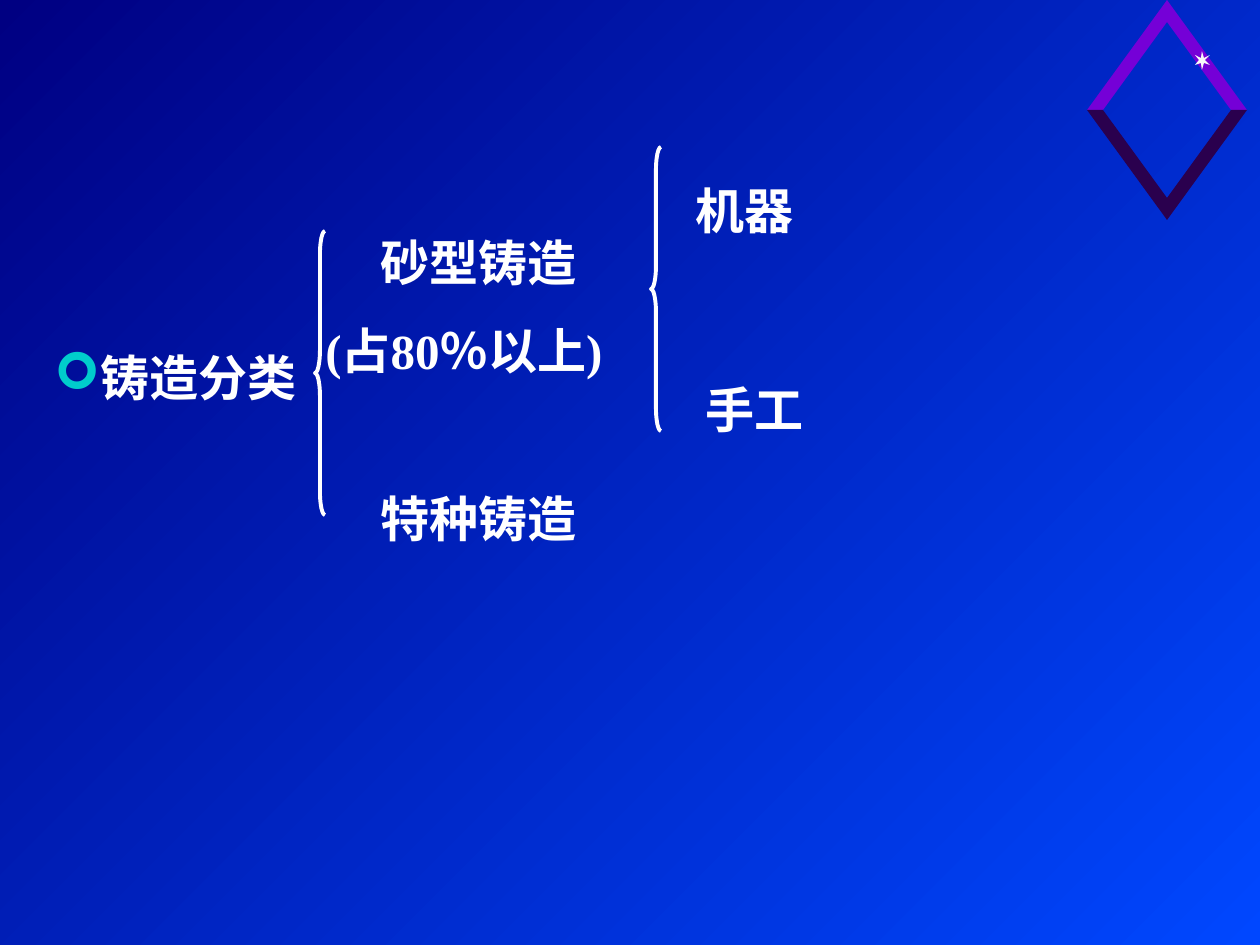
"""Build a slide that classifies casting methods with two braces."""
from typing import NamedTuple

from lxml.etree import SubElement
from pptx import Presentation
from pptx.dml.color import RGBColor
from pptx.enum.shapes import MSO_SHAPE
from pptx.enum.text import MSO_AUTO_SIZE
from pptx.oxml.ns import qn
from pptx.util import Emu, Inches, Pt

PX = 914400 / 126
NAVY = RGBColor(0x00, 0x00, 0x82)
BLUE = RGBColor(0x00, 0x47, 0xFF)
VIOLET = RGBColor(0x75, 0x00, 0xD7)
PLUM = RGBColor(0x2A, 0x00, 0x4E)
PALE = RGBColor(0xF9, 0xF9, 0xF9)
WHITE = RGBColor(0xFF, 0xFF, 0xFF)
BULLET = RGBColor(0x00, 0xCC, 0xCC)

Point = tuple[int, int]


class Label(NamedTuple):
    text: str
    x: int
    y: int
    w: int
    h: int = 78
    spacing: float = 1.1
    after: int = 7
    bullet: str = ""


class Brace(NamedTuple):
    x: int
    y: int
    w: int = 10
    h: int = 284


LABELS = [
    Label("铸造分类", 42, 336, 294, bullet="➢"),
    Label("砂型铸造", 368, 220, 224),
    Label("特种铸造", 368, 462, 224, 92, 1.35, 0),
    Label("(占80％以上)", 313, 294, 350, 92, 1.35, 0),
    Label("机器", 683, 168, 126),
    Label("手工", 693, 368, 126),
]
BRACES = [Brace(315, 231), Brace(651, 147)]
STAR = [(1195, 55), (1201, 58), (1202, 51), (1204, 58), (1210, 55), (1205, 60),
        (1210, 65), (1204, 63), (1202, 70), (1201, 63), (1195, 65), (1199, 60)]


def px(n: int) -> Emu:
    """Turn pixels into EMU."""
    return Emu(round(n * PX))


def add_polygon(s, points: list[Point], color: RGBColor) -> None:
    """Draw a closed, filled outline."""
    fb = s.shapes.build_freeform(*points[0], scale=PX)
    fb.add_line_segments(points[1:], close=True)
    sp = fb.convert_to_shape()
    sp.shadow.inherit = False
    sp.fill.solid()
    sp.fill.fore_color.rgb = color
    sp.line.fill.background()


def add_diamond(s, cx: int, cy: int) -> None:
    """Draw the hollow diamond as four mirrored arms."""
    for dy, color in ((-1, VIOLET), (1, PLUM)):
        for dx in (1, -1):
            arm = [(0, 88), (0, 110), (80, 0), (64, 0)]
            add_polygon(s, [(cx + dx * x, cy + dy * y) for x, y in arm], color)


def add_brace(s, brace: Brace) -> None:
    """Draw a left brace."""
    sp = s.shapes.add_shape(MSO_SHAPE.LEFT_BRACE, *map(px, brace))
    sp.adjustments[0] = 2.25
    sp.shadow.inherit = False
    sp.fill.background()
    sp.line.color.rgb = WHITE
    sp.line.width = Pt(2.25)


def add_bullet(p, char: str) -> None:
    """Give a paragraph a coloured bullet."""
    pPr = p._p.get_or_add_pPr()
    pPr.set("marL", "0")
    pPr.set("indent", "0")
    clr = SubElement(pPr, qn("a:buClr"))
    SubElement(clr, qn("a:srgbClr"), val=str(BULLET))
    SubElement(pPr, qn("a:buSzPct"), val="105000")
    SubElement(pPr, qn("a:buFont"), typeface="Wingdings")
    SubElement(pPr, qn("a:buChar"), char=char)


def add_text(s, text: str, *, x: int, y: int, w: int, h: int,
             spacing: float, after: int, bullet: str) -> None:
    """Write one bold line of text."""
    tf = s.shapes.add_textbox(px(x), px(y), px(w), px(h)).text_frame
    tf.word_wrap = bool(bullet)
    tf.auto_size = MSO_AUTO_SIZE.SHAPE_TO_FIT_TEXT
    p = tf.paragraphs[0]
    if bullet:
        add_bullet(p, bullet)
    p.line_spacing = spacing
    p.space_after = Pt(after)
    r = p.add_run()
    r.text = text
    r.font.name = "Times New Roman"
    r.font.size = Pt(28)
    r.font.bold = True
    r.font.color.rgb = WHITE


def main() -> None:
    """Build and save the slide."""
    prs = Presentation()
    prs.slide_width, prs.slide_height = Inches(10), Inches(7.5)
    s = prs.slides.add_slide(prs.slide_layouts[6])
    fill = s.background.fill
    fill.gradient()
    fill.gradient_angle = 315
    for stop, color in zip(fill.gradient_stops, (NAVY, BLUE)):
        stop.color.rgb = color
    add_diamond(s, 1167, 110)
    add_polygon(s, STAR, PALE)
    for brace in BRACES:
        add_brace(s, brace)
    for label in LABELS:
        add_text(s, **label._asdict())
    prs.save("out.pptx")


if __name__ == "__main__":
    main()
